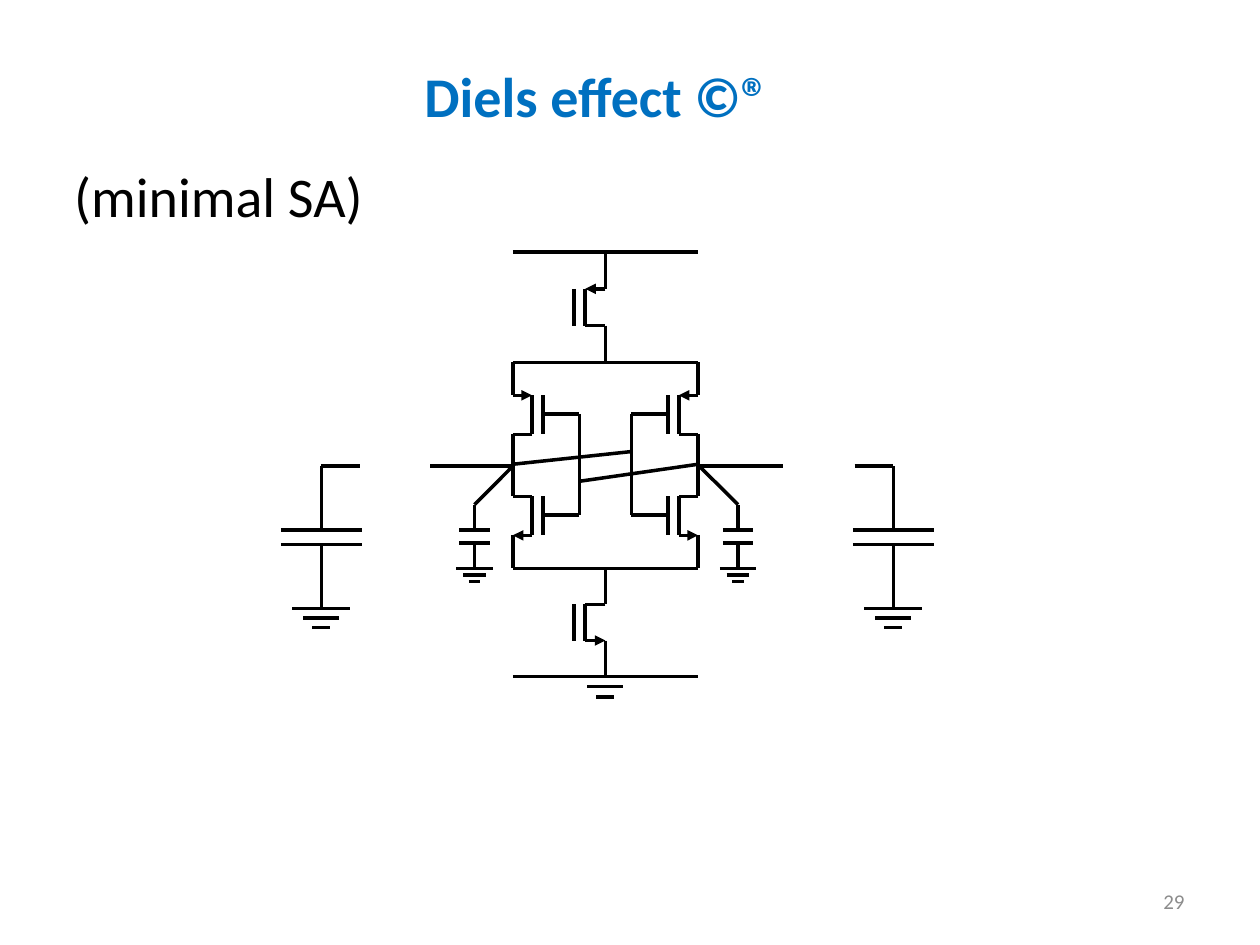
from lxml import etree
from pptx import Presentation, util as u
from pptx.dml.color import RGBColor
from pptx.enum import shapes, text
from pptx.oxml import ns

CELL = u.Inches(0.01)
COLUMNS, ROWS = 1000, 750


def colour(value):
    """Turn a hex string into a colour."""
    return RGBColor.from_string(value)


def wire(page, box, start, end, arrow=False):
    """Draw a line between two points given as shares of the box."""
    left, top, width, height = box
    points = [round(CELL * place) for x, y in (start, end)
              for place in (left + x * width, top + y * height)]
    line = page.shapes.add_connector(shapes.MSO_CONNECTOR.STRAIGHT, *points)
    line.line.color.rgb = colour("000000")
    line.line.width = u.Pt(2)
    if arrow:
        etree.SubElement(line.line._get_or_add_ln(), ns.qn("a:tailEnd"), type="triangle")
    etree.SubElement(line._element.spPr, ns.qn("a:effectLst"))


def label(page, box, words, size, hue, align, bold=False, anchor=text.MSO_ANCHOR.TOP):
    """Place one line of text in the box."""
    frame = page.shapes.add_textbox(*(CELL * part for part in box)).text_frame
    frame.word_wrap = True
    frame.vertical_anchor = anchor
    para = frame.paragraphs[0]
    para.alignment = align
    span = para.add_run()
    span.text = words
    span.font.name = "Calibri"
    span.font.size = u.Pt(size)
    span.font.bold = bold
    span.font.color.rgb = colour(hue)


def transistor(page, box, p_type):
    """Draw a transistor from its rail side to its gate; a negative width mirrors it."""
    channel = 0.64
    wire(page, box, (channel, 0), (channel, 1))
    wire(page, box, (1, 0), (1, 1))
    if p_type:
        wire(page, box, (0, 0), (channel, 0), arrow=True)
        wire(page, box, (0, 1), (channel, 1))
    else:
        wire(page, box, (0, 0), (channel, 0))
        wire(page, box, (channel, 1), (0, 1), arrow=True)


def ground(page, box, first=0):
    """Draw the shrinking bars of a ground sign, from the first one asked for."""
    for row, share in list(enumerate((1, 0.62, 0.31)))[first:]:
        wire(page, box, (0.5 - share / 2, row / 2), (0.5 + share / 2, row / 2))


def capacitor(page, box, gap, base, drop):
    """Draw a capacitor filling the box, with a ground of the given size below."""
    left, top, width, height = box
    upper, lower = (1 - gap) / 2, (1 + gap) / 2
    wire(page, box, (0.5, 0), (0.5, upper))
    for plate in (upper, lower):
        wire(page, box, (0, plate), (1, plate))
    wire(page, box, (0.5, lower), (0.5, 1))
    ground(page, (left + (width - base) / 2, top + height, base, drop))


def inverter(page, box):
    """Draw one inverter from its rail to its gate line."""
    left, top, width, height = box
    for row, p_type in ((0.16, True), (0.65, False)):
        transistor(page, (left, top + row * height, 0.45 * width, 0.19 * height), p_type)
    for start, end in ((0, 0.16), (0.35, 0.65), (0.84, 1)):
        wire(page, box, (0, start), (0, end))
    for gate in (0.25, 0.74):
        wire(page, box, (0.45, gate), (1, gate))
    wire(page, box, (1, 0.25), (1, 0.74))


def amplifier(page, box):
    """Draw the cross-coupled pair between its two switched supplies."""
    left, top, width, height = box
    upper, lower = 0.26, 0.745
    middle = left + width / 2
    for rail in (0, upper, lower, 1):
        wire(page, box, (0, rail), (1, rail))
    for side, reach in ((left, 0.36 * width), (left + width, -0.36 * width)):
        inverter(page, (side, top + upper * height, reach, (lower - upper) * height))
    for start, end, p_type in ((0, upper, True), (lower, 1, False)):
        near = start + (end - start) / 3
        far = end - (end - start) / 3
        wire(page, box, (0.5, start), (0.5, near))
        wire(page, box, (0.5, far), (0.5, end))
        transistor(page, (middle, top + near * height, -0.17 * width,
                          (far - near) * height), p_type)
    wire(page, box, (0.36, 0.54), (1, 0.5))
    wire(page, box, (0, 0.5), (0.64, 0.47))
    ground(page, (middle - 23, top + height, 46, 16), first=1)


def bit_line(page, box):
    """Draw an output with its small load and the far line; a negative width mirrors it."""
    left, top, width, height = box
    wire(page, box, (0, 0), (0.43, 0))
    wire(page, box, (0.8, 0), (1, 0))
    wire(page, box, (0, 0), (0.2, 0.27))
    capacitor(page, (left + 0.2 * width - 12, top + 0.27 * height, 24, 0.45 * height),
              0.2, 29, 10)
    capacitor(page, (left + width - 32, top, 64, height), 0.1, 46, 15)


def main():
    """Build the slide and save it."""
    deck = Presentation()
    deck.slide_width, deck.slide_height = CELL * COLUMNS, CELL * ROWS
    page = deck.slides.add_slide(deck.slide_layouts[6])
    align = text.PP_ALIGN
    label(page, (49, 123, 900, 495), "(minimal SA)", 32, "000000", align.LEFT)
    label(page, (717, 695, 233, 40), "29", 12, "8C8C8C", align.RIGHT,
          anchor=text.MSO_ANCHOR.MIDDLE)
    label(page, (177, 44, 594, 64), "Diels effect ©®", 32, "0070C0", align.CENTER, bold=True)
    amplifier(page, (407, 200, 147, 337))
    bit_line(page, (407, 370, -152, 113))
    bit_line(page, (555, 370, 154, 113))
    deck.save("out.pptx")


if __name__ == "__main__":
    main()
